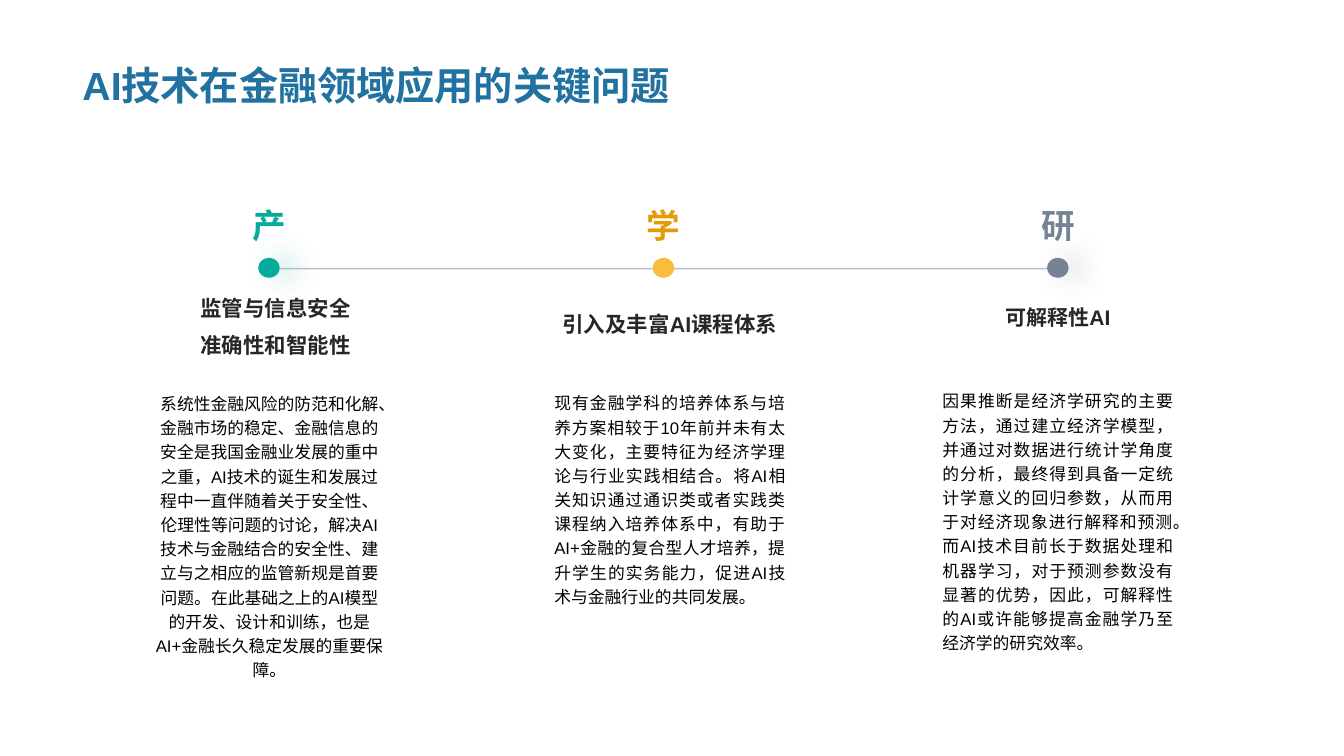
import pptx
import pptx.util
import pptx.dml.color
import pptx.enum.shapes
import pptx.enum.text
import pptx.oxml
import pptx.oxml.ns

Cm = pptx.util.Cm
Pt = pptx.util.Pt
ALIGN = pptx.enum.text.PP_ALIGN
ANCHOR = pptx.enum.text.MSO_ANCHOR
SHAPE = pptx.enum.shapes.MSO_SHAPE
NS = pptx.oxml.ns.nsdecls("a")


def rgb(value):
    return pptx.dml.color.RGBColor.from_string(value)


def add_text(box, lines, size, color, bold=False, align=ALIGN.CENTER,
             anchor=ANCHOR.TOP, spacing=1.0, gap=0):
    tf = s.shapes.add_textbox(*[Cm(v) for v in box]).text_frame
    tf.word_wrap = True
    tf.vertical_anchor = anchor
    for i, line in enumerate(lines):
        p = tf.paragraphs[0] if i == 0 else tf.add_paragraph()
        p.text = line
        p.alignment = align
        p.line_spacing = spacing
        if i:
            p.space_before = Pt(gap)
        p.font.name = "Arial"
        p.font.size = Pt(size)
        p.font.bold = bold
        p.font.color.rgb = rgb(color)


prs = pptx.Presentation()
prs.slide_width = Cm(33.87)
prs.slide_height = Cm(19.05)
s = prs.slides.add_slide(prs.slide_layouts[6])

add_text((1.83, 0.36, 30.18, 2.49), ["AI技术在金融领域应用的关键问题"], 28, "2172A0",
         bold=True, align=ALIGN.LEFT, anchor=ANCHOR.BOTTOM)

FIRST_X, STEP = 6.78, 9.94
AXIS_Y = 6.75
DOT_W, DOT_H = 0.54, 0.5

axis = s.shapes.add_connector(
    pptx.enum.shapes.MSO_CONNECTOR.STRAIGHT,
    Cm(FIRST_X + DOT_W / 2), Cm(AXIS_Y + 0.02),
    Cm(FIRST_X + 2 * STEP - DOT_W / 2), Cm(AXIS_Y + 0.02))
axis.line.width = Pt(1)
axis.line.color.rgb = rgb("768394")
axis.line.fill._xPr.find(".//" + pptx.oxml.ns.qn("a:srgbClr")).append(
    pptx.oxml.parse_xml(f'<a:alpha {NS} val="50000"/>'))
axis._element.spPr.append(pptx.oxml.parse_xml(f"<a:effectLst {NS}/>"))

columns = [
    dict(label="产", label_color="05AC9C", dot="05AC9C", glow=True,
         heading=["监管与信息安全", "准确性和智能性"], heading_box=(3.63, 7.26, 6.63, 1.88),
         heading_size=15.3, spacing=0.8, body_box=(3.63, 9.7, 6.32, 7.62), align=ALIGN.CENTER,
         body="系统性金融风险的防范和化解、金融市场的稳定、金融信息的安全是我国金融业发展的重中之重，"
              "AI技术的诞生和发展过程中一直伴随着关于安全性、伦理性等问题的讨论，"
              "解决AI技术与金融结合的安全性、建立与之相应的监管新规是首要问题。"
              "在此基础之上的AI模型的开发、设计和训练，也是AI+金融长久稳定发展的重要保障。"),
    dict(label="学", label_color="E39B06", dot="FABC3C", glow=False,
         heading=["引入及丰富AI课程体系"], heading_box=(13.72, 7.29, 6.32, 1.32),
         heading_size=15.3, spacing=0.9, body_box=(13.72, 9.68, 6.32, 8.86), align=ALIGN.JUSTIFY,
         body="现有金融学科的培养体系与培养方案相较于10年前并未有太大变化，"
              "主要特征为经济学理论与行业实践相结合。"
              "将AI相关知识通过通识类或者实践类课程纳入培养体系中，"
              "有助于AI+金融的复合型人才培养，提升学生的实务能力，促进AI技术与金融行业的共同发展。"),
    dict(label="研", label_color="768394", dot="768394", glow=True,
         heading=["可解释性AI"], heading_box=(23.5, 7.11, 6.32, 1.32),
         heading_size=15, spacing=1.0, body_box=(23.5, 9.63, 6.32, 8.13), align=ALIGN.JUSTIFY,
         body="因果推断是经济学研究的主要方法，通过建立经济学模型，并通过对数据进行统计学角度的分析，"
              "最终得到具备一定统计学意义的回归参数，从而用于对经济现象进行解释和预测。"
              "而AI技术目前长于数据处理和机器学习，对于预测参数没有显著的优势，"
              "因此，可解释性的AI或许能够提高金融学乃至经济学的研究效率。"),
]

for i, col in enumerate(columns):
    x = FIRST_X + i * STEP
    add_text((x - 1.35, 5.03, 2.7, 1.27), [col["label"]], 24, col["label_color"], bold=True)
    sp = s.shapes.add_shape(SHAPE.OVAL, Cm(x - DOT_W / 2), Cm(AXIS_Y - DOT_H / 2),
                            Cm(DOT_W), Cm(DOT_H))
    sp.shadow.inherit = False
    sp.fill.solid()
    sp.fill.fore_color.rgb = rgb(col["dot"])
    sp.line.fill.background()
    if col["glow"]:
        sp._element.spPr.find(pptx.oxml.ns.qn("a:effectLst")).append(pptx.oxml.parse_xml(
            f'<a:outerShdw {NS} blurRad="{Pt(20)}" dist="{Pt(10)}" dir="0" rotWithShape="0">'
            f'<a:srgbClr val="{col["dot"]}"><a:alpha val="32000"/></a:srgbClr></a:outerShdw>'))
    add_text(col["heading_box"], col["heading"], col["heading_size"], "262626", bold=True,
             anchor=ANCHOR.BOTTOM, spacing=col["spacing"], gap=11.5)
    add_text(col["body_box"], [col["body"]], 12, "000000", align=col["align"], spacing=1.2)

prs.save("out.pptx")
